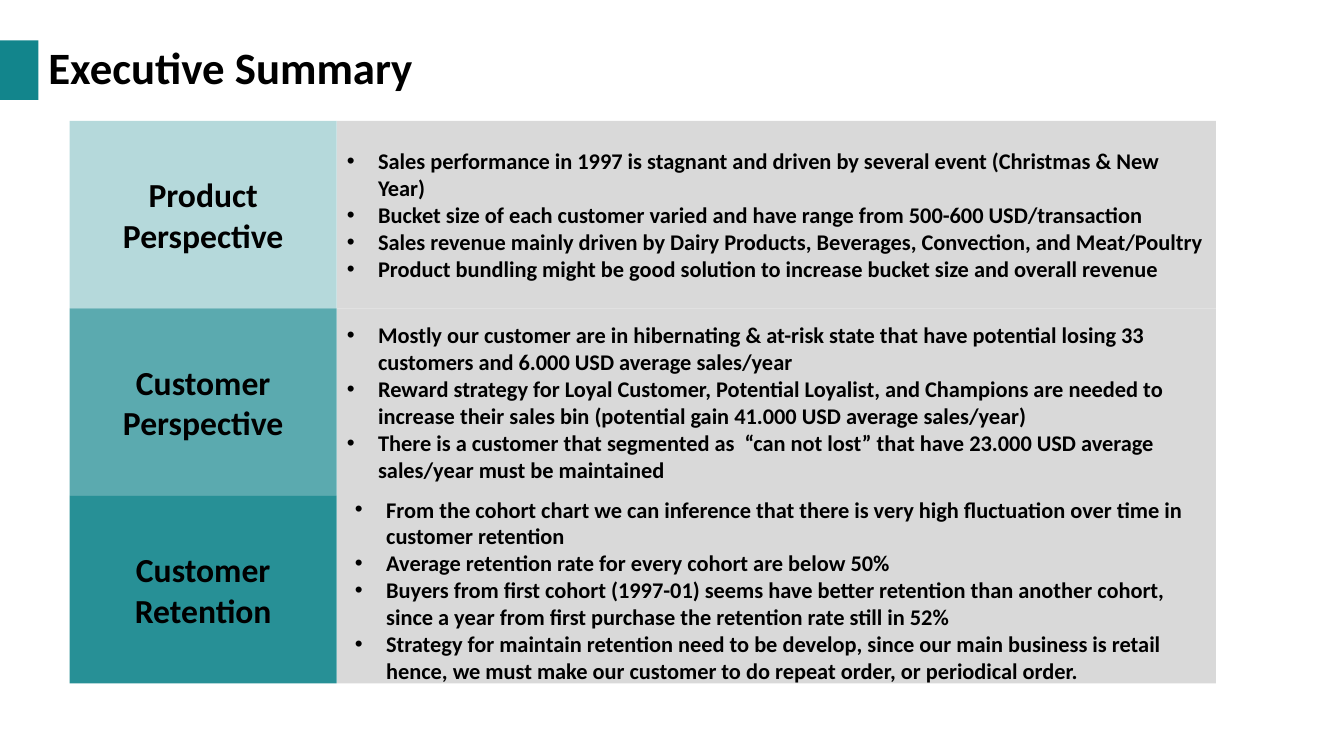
from dataclasses import dataclass

from lxml import etree
from pptx import Presentation
from pptx.dml.color import RGBColor
from pptx.enum.shapes import MSO_SHAPE
from pptx.enum.text import MSO_ANCHOR, MSO_AUTO_SIZE, PP_ALIGN
from pptx.oxml.ns import qn
from pptx.shapes.autoshape import Shape
from pptx.slide import Slide
from pptx.util import Inches, Pt

RECT = MSO_SHAPE.RECTANGLE
MIDDLE = MSO_ANCHOR.MIDDLE
NO_FIT = MSO_AUTO_SIZE.NONE
LEFT = PP_ALIGN.LEFT
CENTER = PP_ALIGN.CENTER
COLORS = {"teal": "12858C", "gray": "D9D9D9", "text": "000000"}
FONT = "Calibri"
COMPARISON = 4
TOP, HEIGHT = 1.2, 1.86
LABEL_LEFT, LABEL_WIDTH = 0.69, 2.65
LIST_LEFT, LIST_WIDTH = LABEL_LEFT + LABEL_WIDTH, 8.72
HANG = 0.31


@dataclass
class Topic:
    label: str
    alpha: int
    margin: float
    points: list[str]


TOPICS = [
    Topic("Product Perspective", 31, 0.31, [
        "Sales performance in 1997 is stagnant and driven by several event (Christmas & New Year)",
        "Bucket size of each customer varied and have range from 500-600 USD/transaction",
        "Sales revenue mainly driven by Dairy Products, Beverages, Convection, and Meat/Poultry",
        "Product bundling might be good solution to increase bucket size and overall revenue",
    ]),
    Topic("Customer Perspective", 69, 0.31, [
        "Mostly our customer are in hibernating & at-risk state that have potential losing 33 "
        "customers and 6.000 USD average sales/year",
        "Reward strategy for Loyal Customer, Potential Loyalist, and Champions are needed to "
        "increase their sales bin (potential gain 41.000 USD average sales/year)",
        "There is a customer that segmented as  “can not lost” that have 23.000 USD average "
        "sales/year must be maintained",
    ]),
    Topic("Customer Retention", 91, 0.39, [
        "From the cohort chart we can inference that there is very high fluctuation over time in "
        "customer retention",
        "Average retention rate for every cohort are below 50%",
        "Buyers from first cohort (1997-01) seems have better retention than another cohort, "
        "since a year from first purchase the retention rate still in 52%",
        "Strategy for maintain retention need to be develop, since our main business is retail "
        "hence, we must make our customer to do repeat order, or periodical order.",
    ]),
]


def place(shape: Shape, left: float, top: float, width: float, height: float) -> None:
    shape.left, shape.top = Inches(left), Inches(top)
    shape.width, shape.height = Inches(width), Inches(height)


def paint(shape: Shape, color: str, alpha: int = 100) -> None:
    shape.fill.solid()
    shape.fill.fore_color.rgb = RGBColor.from_string(COLORS[color])
    shape.line.fill.background()
    if alpha < 100:
        tint = shape.element.spPr.find(".//" + qn("a:srgbClr"))
        etree.SubElement(tint, qn("a:alpha"), val=str(alpha * 1000))


def style(shape: Shape, size: int, align: PP_ALIGN, spacing: float = 1.0) -> None:
    frame = shape.text_frame
    frame.word_wrap = True
    frame.auto_size = NO_FIT
    frame.vertical_anchor = MIDDLE
    for para in frame.paragraphs:
        para.alignment = align
        para.line_spacing = spacing
        para.space_before = Pt(0)
        for run in para.runs:
            run.font.name = FONT
            run.font.size = Pt(size)
            run.font.bold = True
            run.font.color.rgb = RGBColor.from_string(COLORS["text"])


def add_box(slide: Slide, left: float, top: float, width: float, height: float,
            alpha: int = 100) -> Shape:
    box = slide.shapes.add_shape(
        RECT, Inches(left), Inches(top), Inches(width), Inches(height))
    box.shadow.inherit = False
    paint(box, "teal", alpha)
    return box


def fill_list(body: Shape, topic: Topic, top: float) -> None:
    place(body, LIST_LEFT, top, LIST_WIDTH, HEIGHT)
    paint(body, "gray")
    body.text_frame.text = "\n".join(topic.points)
    style(body, 16, LEFT)
    for para in body.text_frame.paragraphs:
        props = para._p.get_or_add_pPr()
        props.set("marL", str(Inches(topic.margin)))
        props.set("indent", str(-Inches(HANG)))
        etree.SubElement(props, qn("a:buFont"), typeface="Arial")
        etree.SubElement(props, qn("a:buChar"), char="•")


def main() -> None:
    deck = Presentation()
    deck.slide_width, deck.slide_height = Inches(13.33), Inches(7.5)
    slide = deck.slides.add_slide(deck.slide_layouts[COMPARISON])

    title, *bodies = slide.placeholders
    place(title, 0.38, 0.33, 12.48, 0.73)
    title.text_frame.text = "Executive Summary"
    style(title, 32, LEFT, 0.9)
    add_box(slide, 0, 0.4, 0.38, 0.59)

    for row, (topic, body) in enumerate(zip(TOPICS, bodies)):
        top = TOP + row * HEIGHT
        label = add_box(slide, LABEL_LEFT, top, LABEL_WIDTH, HEIGHT, topic.alpha)
        label.text_frame.text = topic.label
        style(label, 24, CENTER)
        fill_list(body, topic, top)

    for spare in bodies[len(TOPICS):]:
        spare.element.getparent().remove(spare.element)
    deck.save("out.pptx")


if __name__ == "__main__":
    main()
